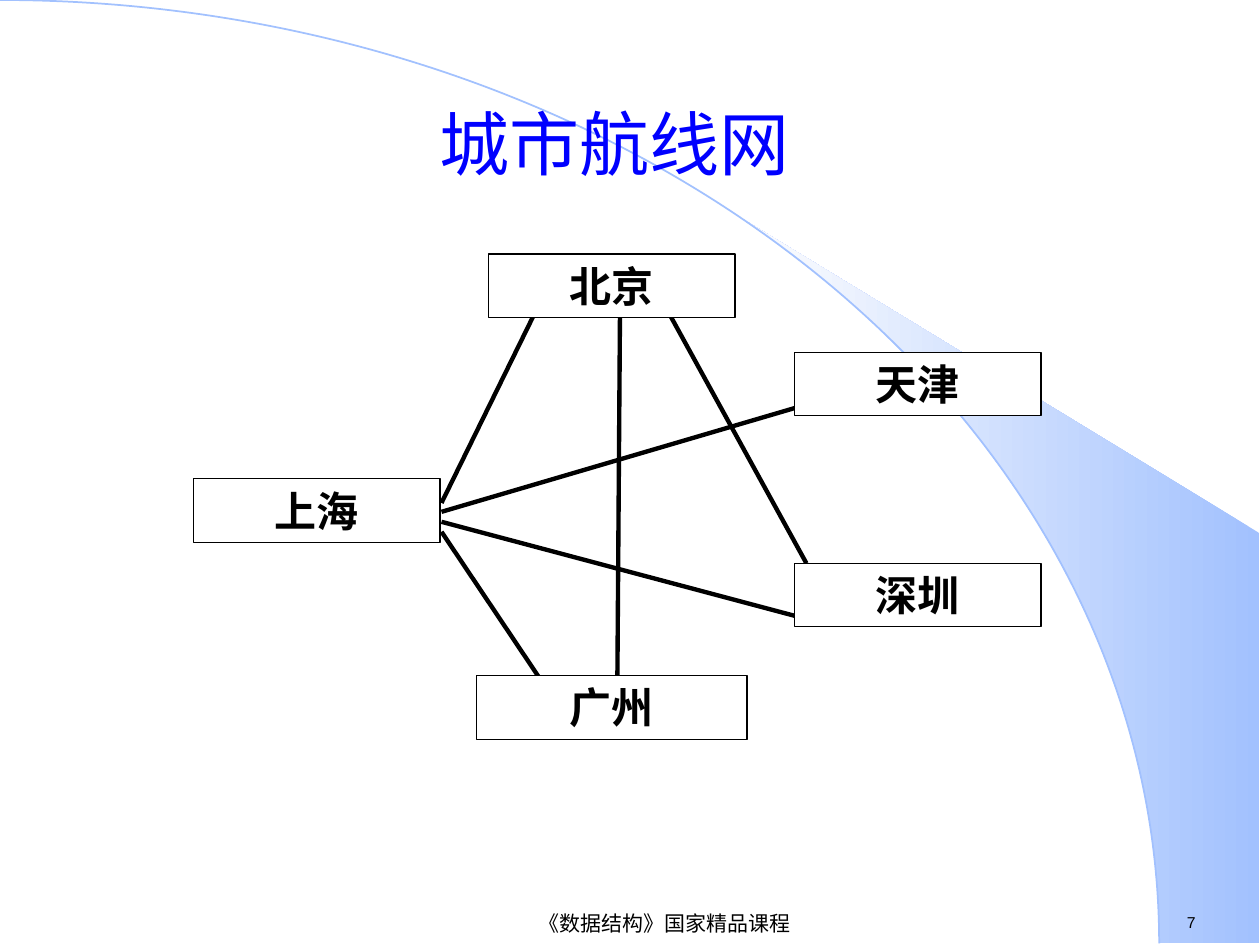
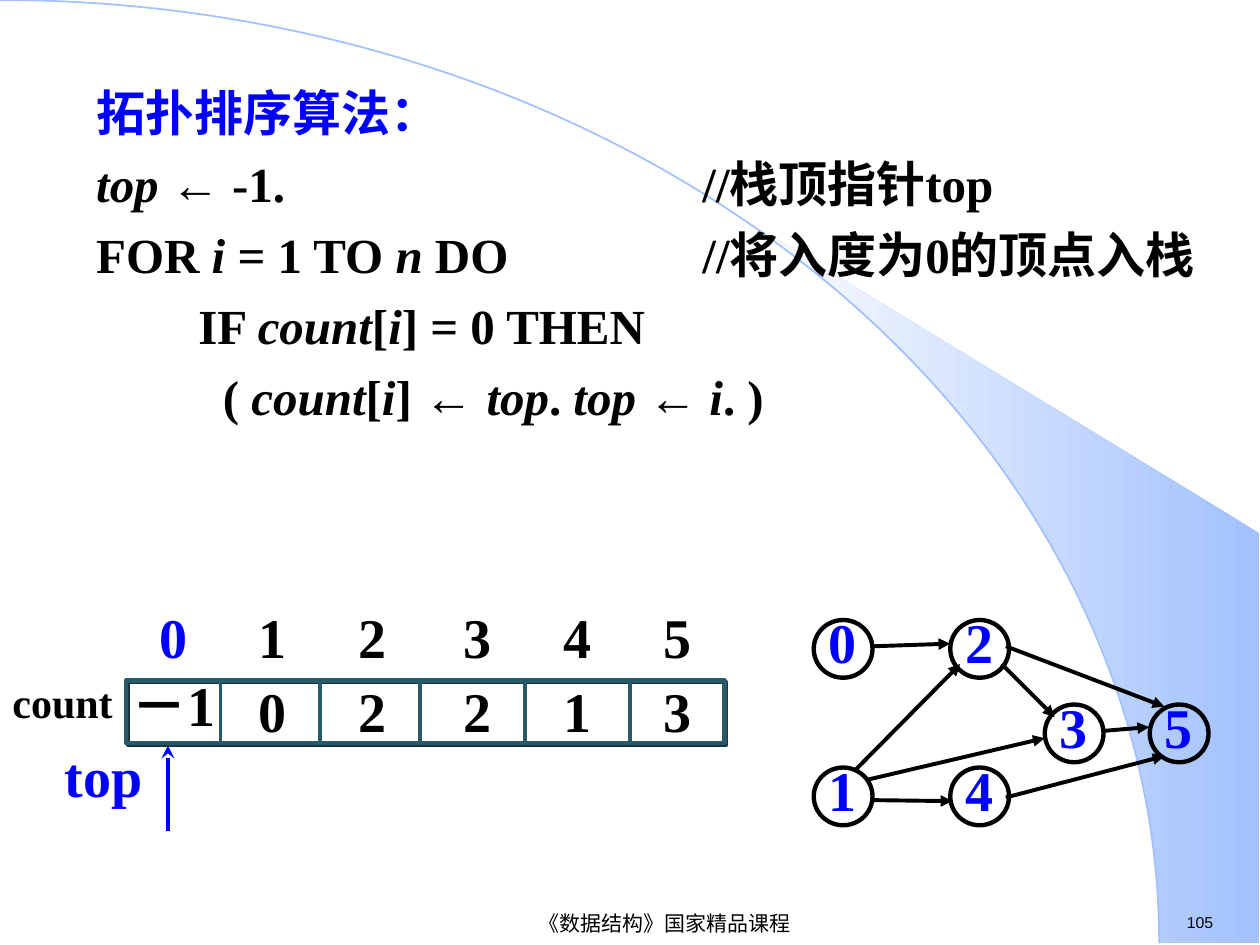
from dataclasses import dataclass
from math import asin, cos, pi, sin

from lxml.etree import SubElement
from pptx import Presentation
from pptx.dml.color import RGBColor
from pptx.enum.lang import MSO_LANGUAGE_ID
from pptx.enum.shapes import MSO_CONNECTOR, MSO_SHAPE
from pptx.enum.text import MSO_ANCHOR, MSO_AUTO_SIZE, PP_ALIGN
from pptx.oxml.ns import qn
from pptx.util import Emu, Inches, Pt

COLUMNS, ROWS = 240, 180
SLIDE_WIDTH, SLIDE_HEIGHT = Inches(10), Inches(7.5)
BLACK, WHITE, BLUE = "000000", "FFFFFF", "0000FF"
SKY, PALE, TEAL, DEEP_TEAL = "A2C1FE", "FEFEFE", "295A69", "18353E"
SERIF, SANS = "Times New Roman", "Arial"
COURSE = "《数据结构》国家精品课程"
ARC_WIDTH, ARC_HEIGHT = 220.8, 179.7


@dataclass(frozen=True)
class Box:
    left: float
    top: float
    width: float
    height: float


@dataclass(frozen=True)
class Style:
    size: float
    color: str = BLACK
    font: str = SERIF
    bold: bool = True


@dataclass(frozen=True)
class Piece:
    text: str
    italic: bool = False
    font: str = SERIF


@dataclass(frozen=True)
class City:
    name: str
    left: float
    top: float
    width: float = 47


@dataclass(frozen=True)
class Node:
    label: str
    left: float
    top: float


@dataclass(frozen=True)
class Segment:
    start: tuple[float, float]
    end: tuple[float, float]


CITY_STYLE = Style(24)
DIGIT_STYLE = Style(32)
BLUE_DIGIT_STYLE = Style(32, BLUE)

CITIES = (
    City("天津", 151.3, 67.1),
    City("北京", 93, 48.4),
    City("上海", 36.8, 91.2),
    City("广州", 90.7, 128.7, 51.6),
    City("深圳", 151.3, 107.3),
)
ROUTES = (
    Segment((101.8, 59.8), (84.1, 95.8)),
    Segment((84.1, 101.3), (104.2, 131.3)),
    Segment((118.1, 59.8), (117.6, 128.6)),
    Segment((84.1, 97.5), (160.3, 75.1)),
    Segment((84.1, 99.4), (153.6, 117.9)),
    Segment((127.5, 59.8), (153.6, 107.3)),
)

ARROW = Piece("←", font=SANS)
COUNT_I = (Piece("count", True), Piece("["), Piece("i", True))
CODE_LINES = (
    (Piece("    top ", True), ARROW, Piece(" -1.\t\t\t\t//栈顶指针top")),
    (Piece("    FOR "), Piece("i ", True), Piece("= 1 TO "), Piece("n", True),
     Piece(" DO\t\t//将入度为0的顶点入栈")),
    (Piece("\t\tIF "), *COUNT_I, Piece("] = 0 THEN")),
    (Piece("\t\t  ( "), *COUNT_I, Piece("] "), Piece("← ", font=SANS), Piece("top", True),
     Piece(". "), Piece("top ", True), ARROW, Piece(" i", True), Piece(". )")),
)

CELL_LEFTS = (24, 43, 62, 82, 101, 120)
DIVIDERS = (42, 61, 80, 100, 120)
COUNTS = ("－1", "0", "2", "2", "1", "3")

NODES = (
    Node("3", 199, 134.2),
    Node("2", 181, 118.1),
    Node("5", 219, 134.2),
    Node("1", 155, 146.2),
    Node("4", 181, 146.2),
    Node("0", 155, 118.1),
)
EDGES = (
    Segment((166.3, 123.1), (181, 122.6)),
    Segment((165.8, 152.4), (181.4, 152.6)),
    Segment((164.9, 148.6), (199, 140.6)),
    Segment((163, 146.6), (182.9, 126.5)),
    Segment((190.8, 126.5), (200.9, 136.6)),
    Segment((210.4, 139.2), (218.9, 138.5)),
    Segment((191.6, 151.9), (221.8, 144)),
    Segment((191.6, 123.1), (221.8, 134.6)),
)


def column(value: float) -> Emu:
    return Emu(round(SLIDE_WIDTH * value / COLUMNS))


def row(value: float) -> Emu:
    return Emu(round(SLIDE_HEIGHT * value / ROWS))


def frame(box: Box) -> tuple[Emu, Emu, Emu, Emu]:
    return column(box.left), row(box.top), column(box.width), row(box.height)


def place_in_front(slide, shape, box: Box) -> None:
    shape.left, shape.top, shape.width, shape.height = frame(box)
    slide.shapes._spTree.append(shape._element)


def paint(color_format, color: str) -> None:
    color_format.rgb = RGBColor.from_string(color)


def add_run(paragraph, text: str, style: Style, italic: bool = False) -> None:
    run = paragraph.add_run()
    run.text = text
    font = run.font
    font.name, font.size = style.font, Pt(style.size)
    font.bold, font.italic = style.bold, italic
    font.language_id = MSO_LANGUAGE_ID.SIMPLIFIED_CHINESE
    paint(font.color, style.color)


def write(shape, text: str, style: Style, align=PP_ALIGN.CENTER, anchor=MSO_ANCHOR.TOP,
          wrap: bool = True, grow: bool = True) -> None:
    text_frame = shape.text_frame
    text_frame.word_wrap = wrap
    text_frame.vertical_anchor = anchor
    text_frame.auto_size = MSO_AUTO_SIZE.SHAPE_TO_FIT_TEXT if grow else MSO_AUTO_SIZE.NONE
    paragraph = text_frame.paragraphs[0]
    paragraph.alignment = align
    add_run(paragraph, text, style)


def add_text(slide, box: Box, text: str, style: Style, **options) -> None:
    write(slide.shapes.add_textbox(*frame(box)), text, style, **options)


def add_outline(slide, kind, box: Box, color: str, width: float):
    shape = slide.shapes.add_shape(kind, *frame(box))
    shape.shadow.inherit = False
    shape.fill.background()
    paint(shape.line.color, color)
    shape.line.width = Pt(width)
    return shape


def add_line(slide, segment: Segment, color: str, width: float, arrow: str = "") -> None:
    (x1, y1), (x2, y2) = segment.start, segment.end
    connector = slide.shapes.add_connector(
        MSO_CONNECTOR.STRAIGHT, column(x1), row(y1), column(x2), row(y2))
    paint(connector.line.color, color)
    connector.line.width = Pt(width)
    if arrow:
        SubElement(connector.line._get_or_add_ln(), qn("a:tailEnd"), type=arrow)
    SubElement(connector._element.spPr, qn("a:effectLst"))


def arc_points(start: float, end: float, steps: int) -> list[tuple[Emu, Emu]]:
    angles = (start + (end - start) * step / steps for step in range(steps + 1))
    return [(column(ARC_WIDTH * sin(angle)), row(ARC_HEIGHT * (1 - cos(angle))))
            for angle in angles]


def add_background(slide, page: str) -> None:
    points = arc_points(asin(141.4 / ARC_WIDTH), pi / 2, 30)
    builder = slide.shapes.build_freeform(*points[0])
    corner = [(column(239.8), row(ARC_HEIGHT)), (column(239.8), row(101.5))]
    builder.add_line_segments(points[1:] + corner, close=True)
    wedge = builder.convert_to_shape()
    wedge.shadow.inherit = False
    wedge.line.fill.background()
    wedge.fill.gradient()
    wedge.fill.gradient_angle = 180
    for stop, color in zip(wedge.fill.gradient_stops, (SKY, PALE)):
        paint(stop.color, color)
    arc_box = Box(-ARC_WIDTH, 0, 2 * ARC_WIDTH, 2 * ARC_HEIGHT)
    add_outline(slide, MSO_SHAPE.ARC, arc_box, SKY, 1)
    add_text(slide, Box(223.7, 172.6, 18.5, 6), page, Style(9, font=SANS, bold=False),
             align=PP_ALIGN.LEFT, wrap=False)
    add_text(slide, Box(57.6, 173, 138, 5.8), COURSE, Style(12, font=SANS, bold=False),
             anchor=MSO_ANCHOR.MIDDLE, wrap=False, grow=False)


def set_default_tabs(presentation) -> None:
    for level in presentation.slide_master._element.iter(qn("a:lvl1pPr")):
        level.set("defTabSz", str(Inches(1)))


def format_code_paragraph(paragraph, margin: float, indent: float) -> None:
    properties = paragraph._p.get_or_add_pPr()
    properties.set("marL", str(Inches(margin)))
    properties.set("indent", str(Inches(indent)))
    properties.set("defTabSz", str(Inches(1)))
    SubElement(properties, qn("a:buNone"))
    tabs = SubElement(properties, qn("a:tabLst"))
    for inch in range(8):
        SubElement(tabs, qn("a:tab"), pos=str(Inches(inch)), algn="l")


def add_algorithm(slide) -> None:
    body = slide.placeholders[1]
    place_in_front(slide, body, Box(6.6, 14.5, 224.9, 79.4))
    text_frame = body.text_frame
    text_frame.auto_size = MSO_AUTO_SIZE.NONE
    heading = text_frame.paragraphs[0]
    heading.space_before = Pt(0)
    format_code_paragraph(heading, 0.39, 0)
    add_run(heading, "拓扑排序算法：", Style(28, BLUE))
    for pieces in CODE_LINES:
        paragraph = text_frame.add_paragraph()
        paragraph.space_before = Pt(7)
        format_code_paragraph(paragraph, 0.2, -0.2)
        for piece in pieces:
            add_run(paragraph, piece.text, Style(28, font=piece.font), piece.italic)


def add_count_array(slide) -> None:
    add_text(slide, Box(10, 140, 24, 15.4), "top", BLUE_DIGIT_STYLE, align=PP_ALIGN.LEFT)
    add_line(slide, Segment((32, 158.2), (32, 142)), BLUE, 2.5, "stealth")
    array = add_outline(slide, MSO_SHAPE.RECTANGLE, Box(24, 129.6, 114, 12), TEAL, 2.5)
    effects = array._element.spPr.find(qn("a:effectLst"))
    shadow = SubElement(effects, qn("a:outerShdw"), dist=str(Pt(1.4)), dir="2700000")
    SubElement(shadow, qn("a:srgbClr"), val=DEEP_TEAL)
    for divider in DIVIDERS:
        add_line(slide, Segment((divider, 129.6), (divider, 141.6)), TEAL, 2.25)
    for index, (left, count) in enumerate(zip(CELL_LEFTS, COUNTS)):
        first = index == 0
        value_box = Box(20, 126.5, 26, 15.4) if first else Box(left, 127.6, 18, 15.4)
        add_text(slide, value_box, count, DIGIT_STYLE)
        add_text(slide, Box(left, 113.5, 18, 15.4), str(index),
                 BLUE_DIGIT_STYLE if first else DIGIT_STYLE)
    add_text(slide, Box(0, 127.7, 30, 12), "count", CITY_STYLE, align=PP_ALIGN.LEFT)


def add_graph(slide) -> None:
    for node in NODES:
        add_outline(slide, MSO_SHAPE.OVAL, Box(node.left, node.top, 11.2, 11), BLACK, 2.5)
        add_text(slide, Box(node.left + 0.5, node.top - 3.5, 8.2, 15.4), node.label,
                 BLUE_DIGIT_STYLE)
    for edge in EDGES:
        add_line(slide, edge, BLACK, 2.25, "triangle")


def build_routes_slide(presentation) -> None:
    slide = presentation.slides.add_slide(presentation.slide_layouts[5])
    add_background(slide, "7")
    title = slide.shapes.title
    place_in_front(slide, title, Box(19.9, 18.2, 194.4, 18))
    write(title, "城市航线网", Style(40, BLUE, bold=False), anchor=MSO_ANCHOR.MIDDLE, grow=False)
    for route in ROUTES:
        add_line(slide, route, BLACK, 2.5)
    for city in CITIES:
        box = Box(city.left, city.top, city.width, 12.1)
        shape = add_outline(slide, MSO_SHAPE.RECTANGLE, box, BLACK, 0.75)
        shape.fill.solid()
        paint(shape.fill.fore_color, WHITE)
        write(shape, city.name, CITY_STYLE)


def build_sorting_slide(presentation) -> None:
    slide = presentation.slides.add_slide(presentation.slide_layouts[1])
    title = slide.shapes.title._element
    title.getparent().remove(title)
    add_background(slide, "105")
    add_algorithm(slide)
    add_count_array(slide)
    add_graph(slide)


def main() -> None:
    presentation = Presentation()
    presentation.slide_width, presentation.slide_height = SLIDE_WIDTH, SLIDE_HEIGHT
    set_default_tabs(presentation)
    build_routes_slide(presentation)
    build_sorting_slide(presentation)
    presentation.save("out.pptx")


if __name__ == "__main__":
    main()
